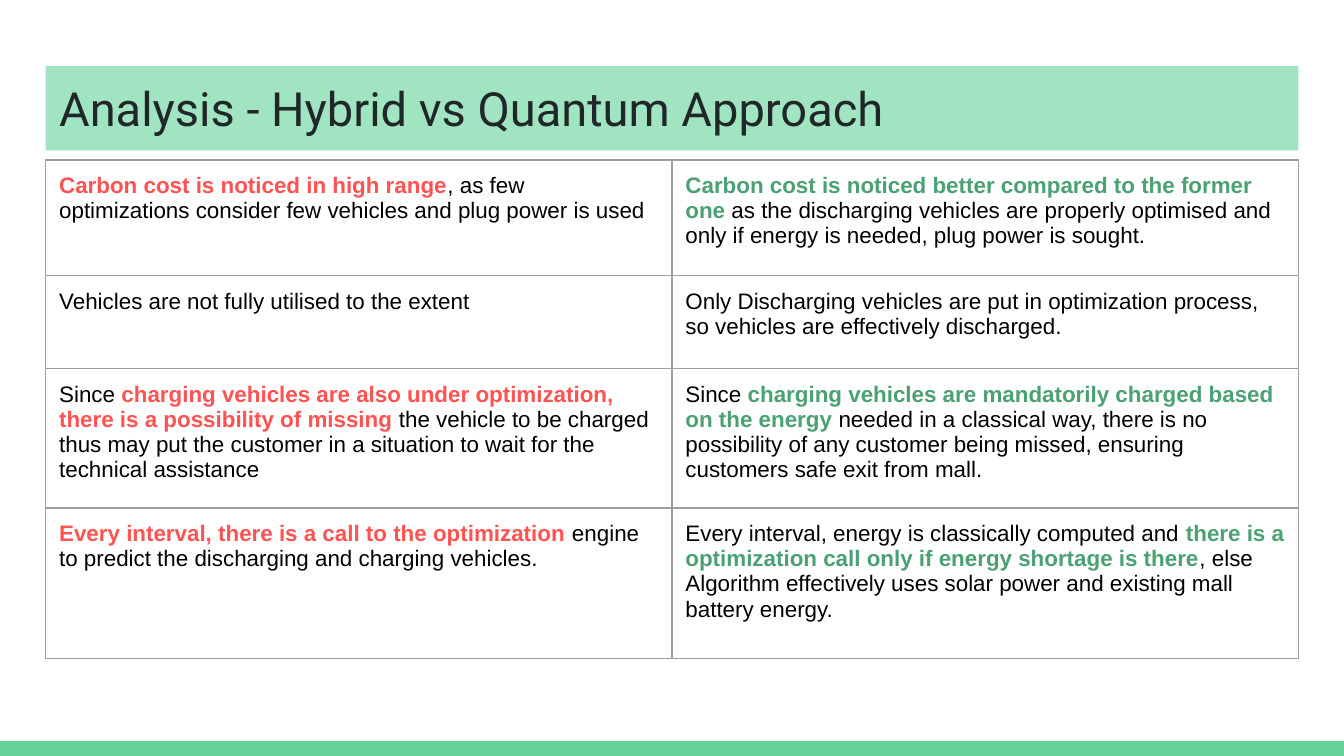
from lxml import etree
from pptx import Presentation
from pptx.dml.color import RGBColor
from pptx.enum.shapes import MSO_SHAPE
from pptx.enum.text import MSO_ANCHOR, MSO_AUTO_SIZE, PP_ALIGN
from pptx.oxml.ns import qn
from pptx.util import Inches, Pt

RECTANGLE = MSO_SHAPE.RECTANGLE
TOP, MIDDLE = MSO_ANCHOR.TOP, MSO_ANCHOR.MIDDLE
LEFT = PP_ALIGN.LEFT
NO_AUTO_SIZE = MSO_AUTO_SIZE.NONE

WIDTH = Inches(10)
HEIGHT = WIDTH * 9 // 16
MARGIN = Inches(0.34)
CONTENT_WIDTH = WIDTH - 2 * MARGIN
INSET = Inches(0.1)
RED, GREEN, BLACK = "FF5252", "4BA173", "000000"


def color(hex_value):
    return RGBColor.from_string(hex_value)


def add_text(paragraph, text, font_name, size, hex_value, bold=False):
    paragraph.alignment = LEFT
    run = paragraph.add_run()
    run.text = text
    formats = {"name": font_name, "size": Pt(size), "bold": bold}
    for name, value in formats.items():
        setattr(run.font, name, value)
    run.font.color.rgb = color(hex_value)


presentation = Presentation()
presentation.slide_width, presentation.slide_height = WIDTH, HEIGHT
slide = presentation.slides.add_slide(presentation.slide_layouts[5])

# Bottom band
band_height = Inches(0.11)
band = slide.shapes.add_shape(RECTANGLE, 0, HEIGHT - band_height, WIDTH, band_height)
band.shadow.inherit = False
band.fill.solid()
band.fill.fore_color.rgb = color("63D297")
band.line.fill.background()

# Title
title = slide.shapes.title
title_box = {"left": MARGIN, "top": Inches(0.49),
             "width": CONTENT_WIDTH, "height": Inches(0.63)}
for name, value in title_box.items():
    setattr(title, name, value)
title.fill.solid()
title.fill.fore_color.rgb = color("A1E4C1")
title_frame = {"margin_left": INSET, "margin_right": INSET, "margin_top": INSET,
               "margin_bottom": INSET, "vertical_anchor": MIDDLE,
               "word_wrap": True, "auto_size": NO_AUTO_SIZE}
for name, value in title_frame.items():
    setattr(title.text_frame, name, value)
add_text(title.text_frame.paragraphs[0], "Analysis - Hybrid vs Quantum Approach",
         "Roboto", 25.2, "202729")

# Comparison rows: hybrid, quantum; text between asterisks is highlighted
comparison = [
    ("*Carbon cost is noticed in high range*, as few optimizations consider few "
     "vehicles and plug power is used",
     "*Carbon cost is noticed better compared to the former one* as the discharging "
     "vehicles are properly optimised and only if energy is needed, plug power is sought."),
    ("Vehicles are not fully utilised to the extent",
     "Only Discharging vehicles are put in optimization process, so vehicles are "
     "effectively discharged."),
    ("Since *charging vehicles are also under optimization, there is a possibility of "
     "missing *the vehicle to be charged thus may put the customer in a situation to "
     "wait for the technical assistance",
     "Since *charging vehicles are mandatorily charged based on the energy *needed in a "
     "classical way, there is no possibility of any customer being missed, ensuring "
     "customers safe exit from mall."),
    ("*Every interval, there is a call to the optimization *engine to predict the "
     "discharging and charging vehicles.",
     "Every interval, energy is classically computed and *there is a optimization call "
     "only if energy shortage is there*, else Algorithm effectively uses solar power "
     "and existing mall battery energy."),
]
row_heights = [0.86, 0.69, 1.04, 1.12]

# Table
table = slide.shapes.add_table(len(comparison), 2, MARGIN, Inches(1.19), CONTENT_WIDTH,
                               Inches(sum(row_heights))).table
table.first_row = table.horz_banding = False
for column in table.columns:
    column.width = CONTENT_WIDTH // 2

cell_format = {"margin_left": INSET, "margin_right": INSET, "margin_top": INSET,
               "margin_bottom": INSET, "vertical_anchor": TOP}
for row, height, texts in zip(table.rows, row_heights, comparison):
    row.height = Inches(height)
    for cell, text, highlight in zip(row.cells, texts, (RED, GREEN)):
        for name, value in cell_format.items():
            setattr(cell, name, value)
        paragraph = cell.text_frame.paragraphs[0]
        for index, part in enumerate(text.split("*")):
            if part:
                bold = index % 2 == 1
                add_text(paragraph, part, "Arial", 12, highlight if bold else BLACK, bold)

        # Borders come before the fill in the cell properties
        properties = cell._tc.get_or_add_tcPr()
        for side in ("a:lnL", "a:lnR", "a:lnT", "a:lnB"):
            border = etree.SubElement(properties, qn(side), w=str(Pt(0.75)))
            fill = etree.SubElement(border, qn("a:solidFill"))
            etree.SubElement(fill, qn("a:srgbClr"), val="9E9E9E")
        cell.fill.background()

presentation.save("out.pptx")
